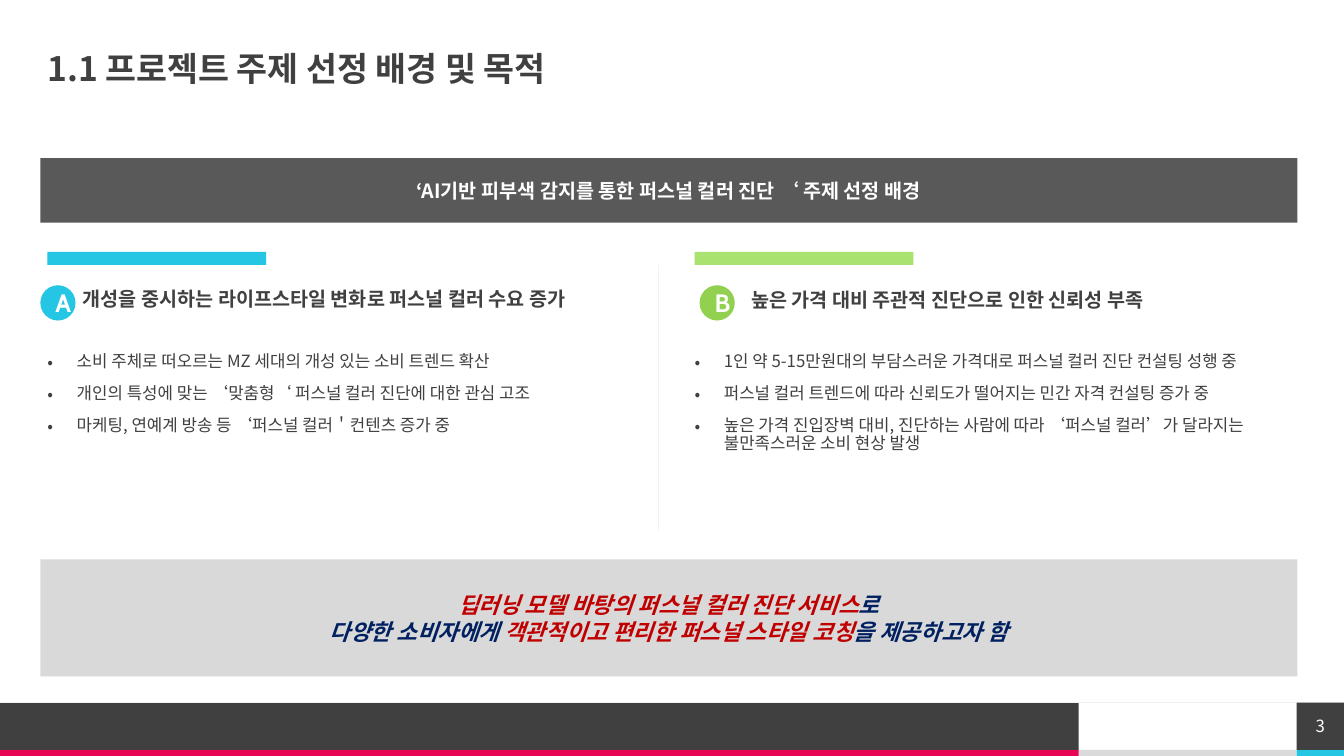
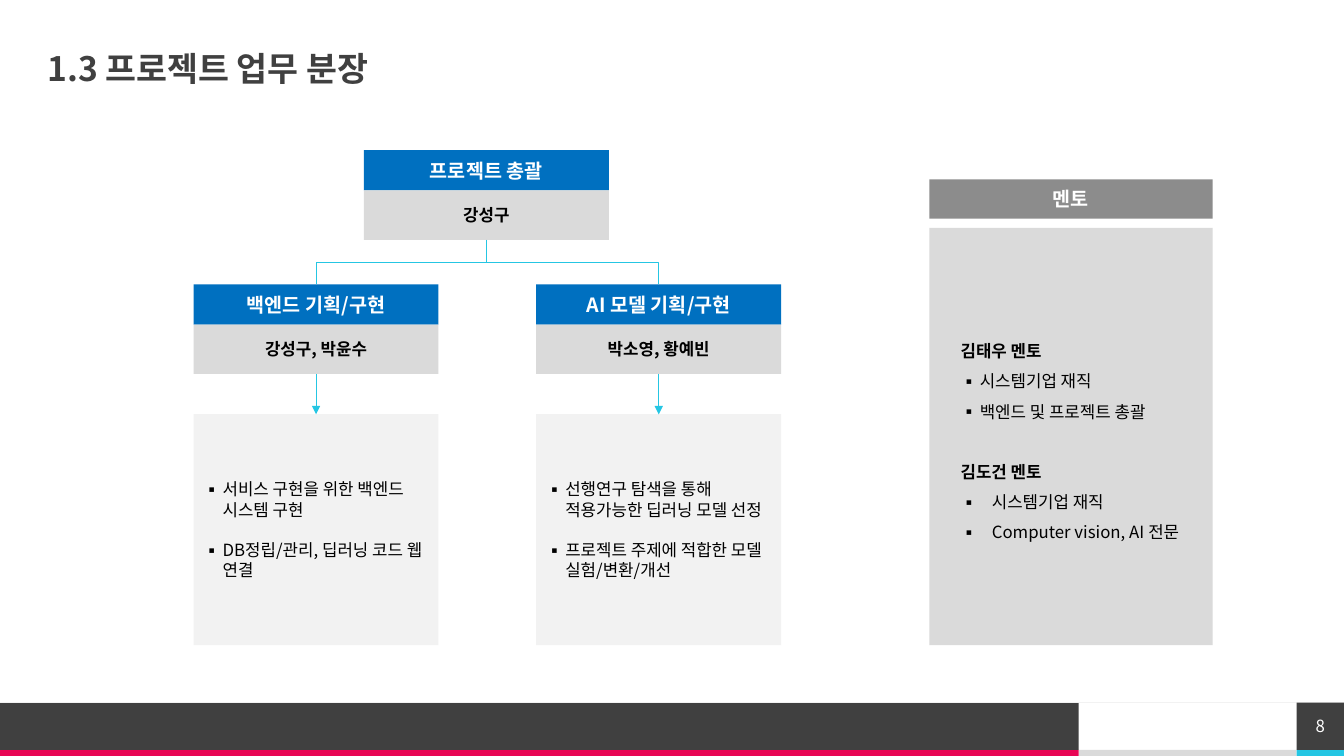
from dataclasses import dataclass
from typing import NamedTuple, Optional, Sequence

from lxml import etree
from pptx import Presentation
from pptx import util as u
from pptx.dml.color import RGBColor
from pptx.enum import shapes, text
from pptx.oxml import ns

# Shared look
FONT = "Noto Sans CJK KR"
BADGE_FONT = "Cabin"
WHITE = RGBColor(0xFF, 0xFF, 0xFF)
BLACK = RGBColor(0, 0, 0)
CHARCOAL = RGBColor(0x40, 0x40, 0x40)
BANNER = RGBColor(0x59, 0x59, 0x59)
GRAY = RGBColor(0x8C, 0x8C, 0x8C)
SILVER = RGBColor(0xDA, 0xDA, 0xDA)
SILVER_DARK = RGBColor(0xD9, 0xD9, 0xD9)
PALE = RGBColor(0xF2, 0xF2, 0xF2)
CYAN = RGBColor(0x25, 0xC6, 0xE3)
LIME = RGBColor(0xA9, 0xE2, 0x6F)
GREEN = RGBColor(0x92, 0xD0, 0x50)
PINK = RGBColor(0xE8, 0x05, 0x54)
BLUE = RGBColor(0x00, 0x70, 0xC0)
NAVY = RGBColor(0x00, 0x20, 0x60)
RED = RGBColor(0xC0, 0x00, 0x00)

SLIDE_W, SLIDE_H = u.Inches(13.33), u.Inches(7.5)
RECT, OVAL = shapes.MSO_SHAPE.RECTANGLE, shapes.MSO_SHAPE.OVAL
LEFT, CENTER = text.PP_ALIGN.LEFT, text.PP_ALIGN.CENTER
TOP, MIDDLE = text.MSO_ANCHOR.TOP, text.MSO_ANCHOR.MIDDLE


class Box(NamedTuple):
    """Place and size in percent of the slide."""
    x: float
    y: float
    w: float
    h: float

    def emu(self) -> tuple:
        return across(self.x), down(self.y), across(self.w), down(self.h)


class Style(NamedTuple):
    size: float
    color: RGBColor
    bold: bool = False
    italic: bool = False
    font: str = FONT


class Bullet(NamedTuple):
    char: str
    indent: float  # inches


@dataclass
class Line:
    """One paragraph: its runs and its spacing."""
    runs: Sequence[tuple[str, Style]]
    align: text.PP_ALIGN = LEFT
    bullet: Optional[Bullet] = None
    spacing: float = 1.0
    before: float = 0


@dataclass
class Reason:
    letter: str
    x: float
    badge_x: float
    heading_x: float
    heading_y: float
    bar: RGBColor
    badge: RGBColor
    heading: str
    points: Sequence[str]


@dataclass
class Team:
    x: float
    y: float
    role: str
    members: str
    tasks: Sequence[str] = ()


def across(share: float) -> int:
    return round(SLIDE_W * share / 100)


def down(share: float) -> int:
    return round(SLIDE_H * share / 100)


# Drawing helpers
def write(frame, lines: Sequence[Line], anchor=MIDDLE, margins: Optional[Sequence[float]] = None) -> None:
    frame.word_wrap = True
    frame.auto_size = text.MSO_AUTO_SIZE.NONE
    frame.vertical_anchor = anchor
    if margins:
        (frame.margin_left, frame.margin_top,
         frame.margin_right, frame.margin_bottom) = map(u.Inches, margins)
    for i, line in enumerate(lines):
        paragraph = frame.add_paragraph() if i else frame.paragraphs[0]
        if line.bullet:
            props = paragraph._p.get_or_add_pPr()
            indent = u.Inches(line.bullet.indent)
            props.set("marL", str(indent))
            props.set("indent", str(-indent))
            etree.SubElement(props, ns.qn("a:buFont")).set("typeface", FONT)
            etree.SubElement(props, ns.qn("a:buChar")).set("char", line.bullet.char)
        paragraph.alignment = line.align
        paragraph.line_spacing = line.spacing
        paragraph.space_before = u.Pt(line.before)
        for words, style in line.runs:
            if words == "\n":
                paragraph.add_line_break()
                continue
            run = paragraph.add_run()
            run.text = words
            font = run.font
            font.size, font.bold, font.italic = u.Pt(style.size), style.bold, style.italic
            font.color.rgb = style.color
            font.name = style.font
            etree.SubElement(run._r.get_or_add_rPr(), ns.qn("a:ea")).set("typeface", style.font)


def panel(slide, box: Box, fill: RGBColor, lines: Sequence[Line] = (), kind=RECT, margins=None) -> None:
    shape = slide.shapes.add_shape(kind, *box.emu())
    shape.shadow.inherit = False
    shape.fill.solid()
    shape.fill.fore_color.rgb = fill
    shape.line.fill.background()
    if lines:
        write(shape.text_frame, lines, margins=margins)


def label(words: str, style: Style) -> list[Line]:
    return [Line([(words, style)], CENTER)]


def connect(slide, x1: float, y1: float, x2: float, y2: float, color: RGBColor, arrow: bool = False):
    return style_line(slide.shapes.add_connector(
        shapes.MSO_CONNECTOR.STRAIGHT, across(x1), down(y1), across(x2), down(y2)), color, arrow)


def style_line(connector, color: RGBColor, arrow: bool = False) -> None:
    connector.line.color.rgb = color
    connector.line.width = u.Pt(0.5)
    if arrow:
        etree.SubElement(connector.line._get_or_add_ln(), ns.qn("a:tailEnd")).set("type", "triangle")
    etree.SubElement(connector._element.spPr, ns.qn("a:effectLst"))


def branch(slide, x1: float, y1: float, x2: float, y2: float) -> None:
    """Elbow that leaves downward: a sideways elbow turned a quarter."""
    mid_x, mid_y = across((x1 + x2) / 2), down((y1 + y2) / 2)
    half_run, half_drop = across(abs(x2 - x1)) // 2, down(y2 - y1) // 2
    side = 1 if x2 > x1 else -1
    elbow = slide.shapes.add_connector(
        shapes.MSO_CONNECTOR.ELBOW, mid_x + side * half_drop, mid_y - half_run,
        mid_x - side * half_drop, mid_y + half_run)
    quarter = 270 if side > 0 else 90
    elbow._element.spPr.find(ns.qn("a:xfrm")).set("rot", str(quarter * 60000))
    style_line(elbow, CYAN)


def fill_placeholder(holder, box: Box, lines: Sequence[Line], anchor=TOP) -> None:
    holder.left, holder.top, holder.width, holder.height = box.emu()
    write(holder.text_frame, lines, anchor, (0, 0, 0, 0))


# Title and footer of every slide
FOOT_Y, STRIP_Y = 92.93, 99.2
FOOT_H, STRIP_H = STRIP_Y - FOOT_Y, 100 - STRIP_Y
SPLIT_X, PAGE_X = 80.25, 96.47


def start_slide(deck, layout: int, title: str, page: str):
    slide = deck.slides.add_slide(deck.slide_layouts[layout])
    for x, end, color in ((SPLIT_X, PAGE_X, SILVER), (0, SPLIT_X, PINK), (PAGE_X, 100, CYAN)):
        panel(slide, Box(x, STRIP_Y, end - x, STRIP_H), color)
    panel(slide, Box(0, FOOT_Y, SPLIT_X, FOOT_H), CHARCOAL)
    connect(slide, 100, FOOT_Y, 0, FOOT_Y, PALE)
    panel(slide, Box(PAGE_X, FOOT_Y, 100 - PAGE_X, FOOT_H), CHARCOAL,
          label(page, Style(12, WHITE)), margins=(0, 0, 0, 0))
    fill_placeholder(slide.shapes.title, Box(3.53, 6.27, 93, 6.27),
                     [Line([(title, Style(24, CHARCOAL, True))], spacing=0.9)], MIDDLE)
    return slide


# Background and purpose
REASONS = (
    Reason("A", 3.53, 3, 6.15, 38.27, CYAN, CYAN,
           "개성을 중시하는 라이프스타일 변화로 퍼스널 컬러 수요 증가",
           ("소비 주체로 떠오르는 MZ 세대의 개성 있는 소비 트렌드 확산",
            "개인의 특성에 맞는 ‘맞춤형‘ 퍼스널 컬러 진단에 대한 관심 고조",
            "마케팅, 연예계 방송 등 ‘퍼스널 컬러＇컨텐츠 증가 중")),
    Reason("B", 51.68, 52.05, 55.88, 38.4, LIME, GREEN,
           "높은 가격 대비 주관적 진단으로 인한 신뢰성 부족",
           ("1인 약 5-15만원대의 부담스러운 가격대로 퍼스널 컬러 진단 컨설팅 성행 중",
            "퍼스널 컬러 트렌드에 따라 신뢰도가 떨어지는 민간 자격 컨설팅 증가 중",
            "높은 가격 진입장벽 대비, 진단하는 사람에 따라 ‘퍼스널 컬러’가 달라지는 불만족스러운 소비 현상 발생")),
)


def build_background(deck) -> None:
    slide = start_slide(deck, 4, "1.1 프로젝트 주제 선정 배경 및 목적", "3")
    panel(slide, Box(3, 20.93, 93.53, 8.53), BANNER,
          label("‘AI기반 피부색 감지를 통한 퍼스널 컬러 진단 ‘ 주제 선정 배경", Style(14, WHITE, True)))
    connect(slide, 49, 35.07, 49, 70.13, PALE)
    bodies = list(slide.placeholders)[1:]
    for i, reason in enumerate(REASONS):
        heading, points = bodies[2 * i:2 * i + 2]
        panel(slide, Box(reason.x, 33.33, 16.28, 1.73), reason.bar)
        panel(slide, Box(reason.badge_x, 37.73, 2.62, 4.67), reason.badge,
              label(reason.letter, Style(18, WHITE, True, font=BADGE_FONT)), OVAL)
        fill_placeholder(heading, Box(reason.heading_x, reason.heading_y, 40.73, 5.2),
                         [Line([(reason.heading, Style(14, CHARCOAL, True))], spacing=0.9)])
        fill_placeholder(points, Box(reason.x, 46.67, 44.85, 25),
                         [Line([(point, Style(12, CHARCOAL))], bullet=Bullet("•", 0.29),
                               spacing=0.9, before=10 if n else 0)
                          for n, point in enumerate(reason.points)])
    # Conclusion
    strong, plain = Style(16, RED, True, True), Style(16, NAVY, True, True)
    panel(slide, Box(3, 74, 93.53, 15.47), SILVER_DARK, [Line([
        ("딥러닝 모델 바탕의 퍼스널 컬러 진단 서비스", strong), ("로", plain), ("\n", plain),
        ("다양한 소비자에게 ", plain), ("객관적이고 편리한 퍼스널 스타일 코칭", strong),
        ("을 제공하고자 함", plain)], CENTER)])


# Division of work
LEAD = Team(27.08, 19.87, "프로젝트 총괄", "강성구")
TEAMS = (
    Team(14.4, 37.6, "백엔드 기획/구현", "강성구, 박윤수",
         ("서비스 구현을 위한 백엔드 시스템 구현", "DB정립/관리, 딥러닝 코드 웹 연결")),
    Team(39.9, 37.6, "AI 모델 기획/구현", "박소영, 황예빈",
         ("선행연구 탐색을 통해 적용가능한 딥러닝 모델 선정", "프로젝트 주제에 적합한 모델 실험/변환/개선")),
)
MENTORS = (
    ("김태우 멘토", 0.19, ("시스템기업 재직", "백엔드 및 프로젝트 총괄")),
    ("김도건 멘토", 0.31, ("시스템기업 재직", "Computer vision, AI 전문")),
)
TEAM_W, ROLE_H, MEMBERS_H = 18.23, 5.33, 6.53
TASKS_Y, TASKS_H = 54.8, 30.53
HEAD, NAME, NOTE = Style(14, WHITE, True), Style(12, BLACK, True), Style(12, BLACK)


def draw_team(slide, team: Team) -> tuple[float, float]:
    """Draw role and members; return the middle of the lower edge."""
    panel(slide, Box(team.x, team.y, TEAM_W, ROLE_H), BLUE, label(team.role, HEAD))
    panel(slide, Box(team.x, team.y + ROLE_H, TEAM_W, MEMBERS_H), SILVER, label(team.members, NAME))
    return team.x + TEAM_W / 2, team.y + ROLE_H + MEMBERS_H


def build_division(deck) -> None:
    slide = start_slide(deck, 5, "1.3 프로젝트 업무 분장", "8")
    # Organisation chart
    lead_x, lead_end = draw_team(slide, LEAD)
    for team in TEAMS:
        team_x, team_end = draw_team(slide, team)
        panel(slide, Box(team.x, TASKS_Y, TEAM_W, TASKS_H), PALE,
              [Line([(task, NOTE)], bullet=Bullet("▪", 0.19), before=14.5 if n else 0)
               for n, task in enumerate(team.tasks)])
        branch(slide, lead_x, lead_end, team_x, team.y)
        connect(slide, team_x, team_end, team_x, TASKS_Y, CYAN, arrow=True)
    # Mentors
    lines = []
    for name, indent, facts in MENTORS:
        lines.append(Line([(name, NAME)], spacing=1.5, before=21.5 if lines else 0))
        lines += [Line([(fact, NOTE)], bullet=Bullet("▪", indent), spacing=1.5) for fact in facts]
    panel(slide, Box(69.15, 23.73, 21.08, 5.2), GRAY, label("멘토", HEAD))
    panel(slide, Box(69.15, 30.13, 21.08, 55.2), SILVER, lines, margins=(0.31, 0.05, 0.1, 0.05))


def main() -> None:
    deck = Presentation()
    deck.slide_width, deck.slide_height = SLIDE_W, SLIDE_H
    build_background(deck)
    build_division(deck)
    deck.save("out.pptx")


if __name__ == "__main__":
    main()
